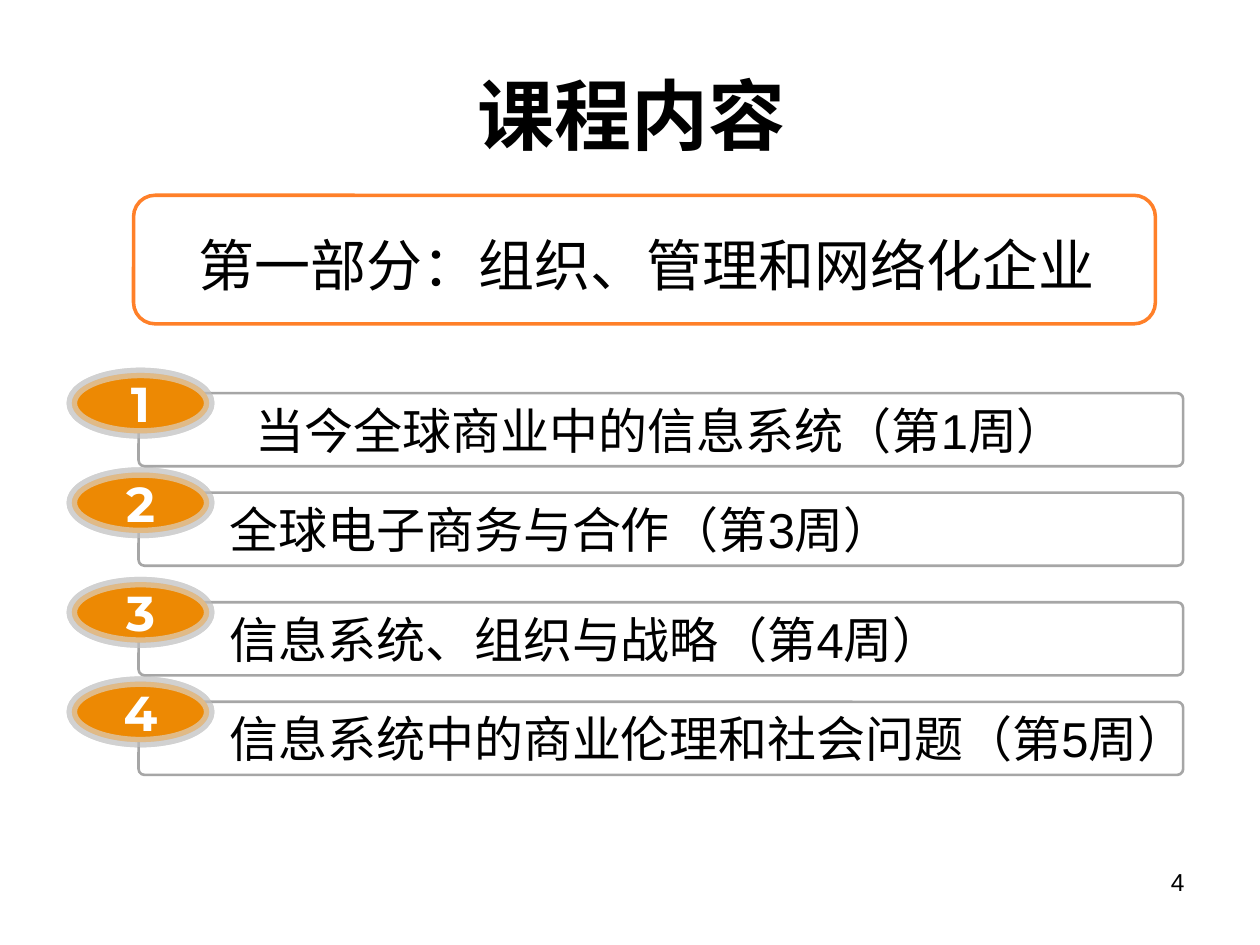
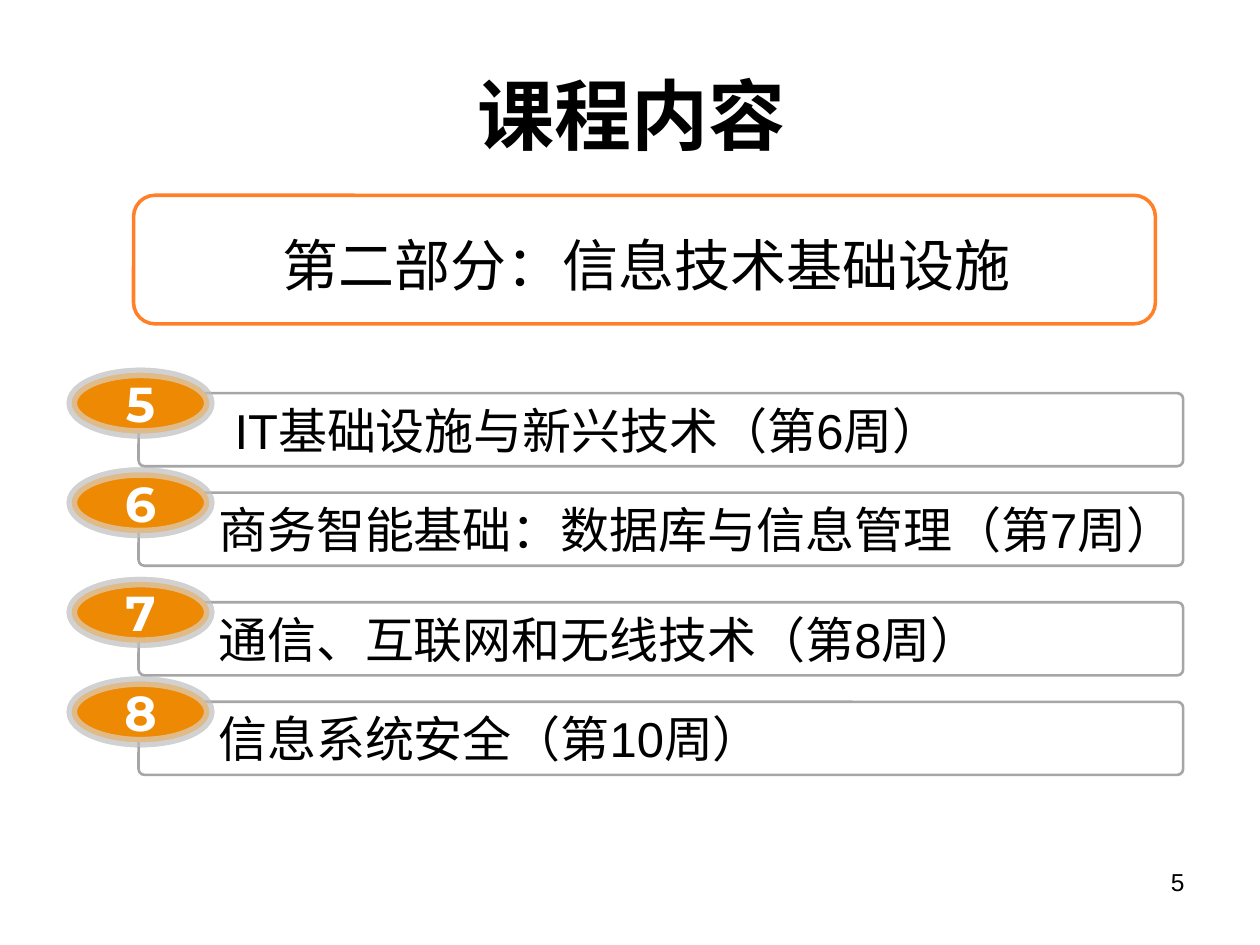
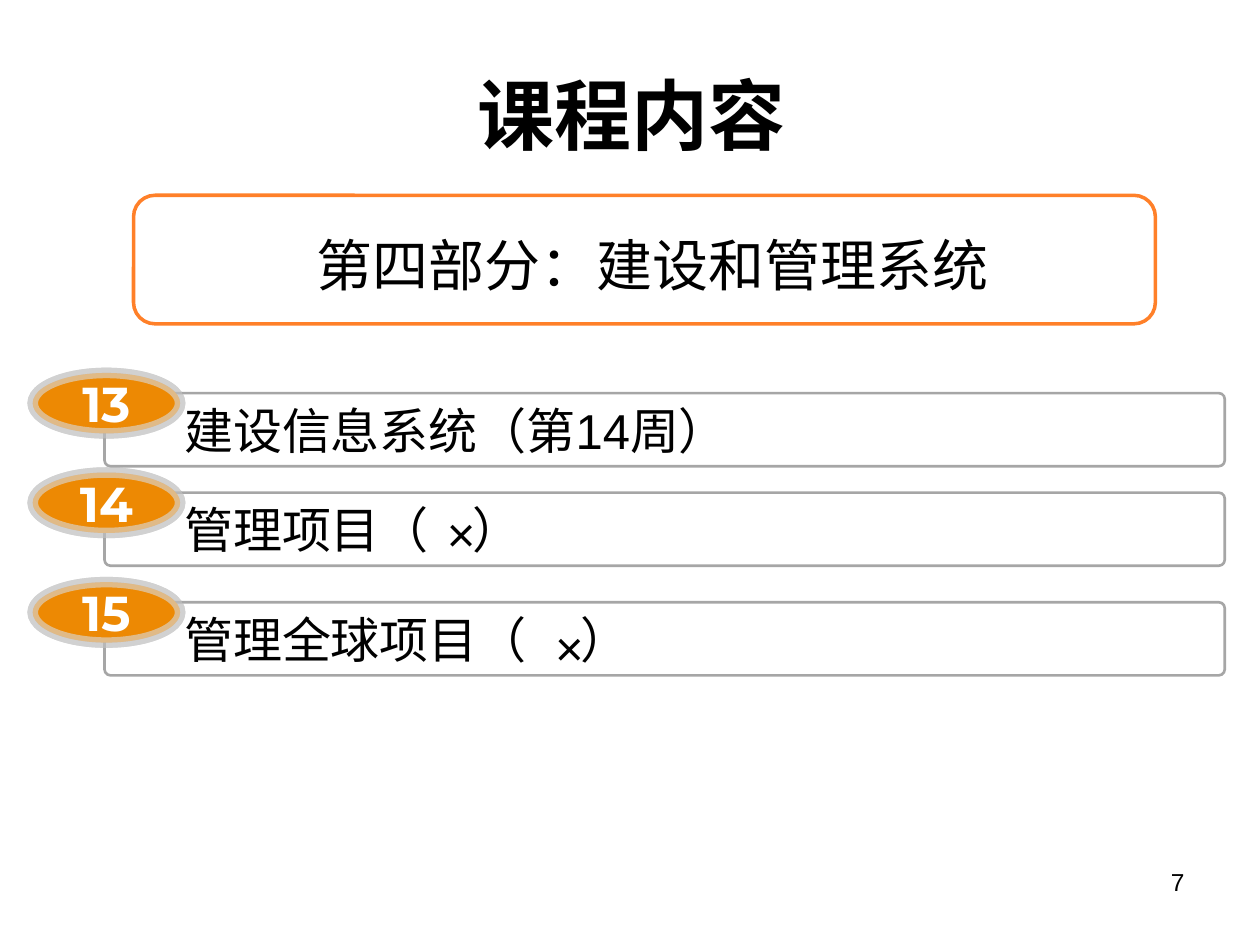
from lxml import etree
from pptx import Presentation
from pptx.dml.color import RGBColor
from pptx.enum.shapes import MSO_SHAPE
from pptx.enum.text import MSO_ANCHOR, PP_ALIGN
from pptx.oxml.ns import qn
from pptx.util import Inches, Pt

ROUND, OVAL = MSO_SHAPE.ROUNDED_RECTANGLE, MSO_SHAPE.OVAL
TOP, MID = MSO_ANCHOR.TOP, MSO_ANCHOR.MIDDLE
LEFT, MIDDLE, RIGHT = PP_ALIGN.LEFT, PP_ALIGN.CENTER, PP_ALIGN.RIGHT

COLORS = {"ink": "000000", "paper": "FFFFFF", "frame": "FF8029",
          "badge": "ED8903", "ring": "D9D9D9", "bar": "A6A6A6"}
BODY, DIGIT = "Arial", "Montserrat"
TITLE = "课程内容"

# Left edge and width of the parts that vary between slides
WIDE = {"head": (1.22, 7.92), "bar": (0.83, 8.89), "badge": (0.26, 1.17)}
NORMAL = {"head": (1.3, 7.67), "bar": (1.1, 8.29), "badge": (0.57, 1.09)}

# Each row: runs of (text, gap after it in points), indent (None centres it)
SLIDES = [
    {"page": 4, "first": 1, "grid": NORMAL, "marks": [],
     "head": "第一部分：组织、管理和网络化企业",
     "rows": [([("当今全球商业中的信息系统（第1周）", 0)], None),
              ([("全球电子商务与合作（第3周）", 0)], 0.61),
              ([("信息系统、组织与战略（第4周）", 0)], 0.61),
              ([("信息系统中的商业伦理和社会问题（第5周）", 0)], 0.61)]},
    {"page": 5, "first": 5, "grid": NORMAL, "marks": [],
     "head": "第二部分：信息技术基础设施",
     "rows": [([("IT基础设施与新兴技术（第6周）", 0)], 0.65),
              ([("商务智能基础：数据库与信息管理（第7周）", 0)], 0.52),
              ([("通信、互联网和无线技术（第8周）", 0)], 0.52),
              ([("信息系统安全（第10周）", 0)], 0.52)]},
    {"page": 7, "first": 13, "grid": WIDE,
     "marks": [(4.29, 4.85), (3.43, 3.95)],
     "head": "第四部分：建设和管理系统",
     "rows": [([("建设信息系统（第14周）", 0)], 0.52),
              ([("管理项目", 0), ("（", 25), ("）", 0)], 0.52),
              ([("管理全球项目", 0), ("（", 31), ("）", 0)], 0.52)]},
]

ROW_TOP, STEP, PAIR_GAP = 3.12, 0.79, 0.08
BAR_H, BADGE_H, LIFT = 0.58, 0.48, 0.16
MARK_W, MARK_H = 0.46, 0.44


def rgb(name):
    return RGBColor.from_string(COLORS[name])


def write(shape, runs, size, align=MIDDLE, anchor=TOP, color="ink",
          font=BODY, bold=False, wrap=True, indent=0):
    frame = shape.text_frame
    frame.word_wrap, frame.vertical_anchor = wrap, anchor
    para = frame.paragraphs[0]
    para.alignment = align
    if indent:
        props = para._p.get_or_add_pPr()
        props.set("marL", str(Inches(indent)))
        props.set("indent", "0")
    for text, gap in runs:
        run = para.add_run()
        run.text = text
        run.font.name, run.font.size, run.font.bold = font, Pt(size), bold
        run.font.color.rgb = rgb(color)
        if gap:
            run._r.get_or_add_rPr().set("spc", str(gap * 100))


def label(slide, box, text, size, **style):
    shape = slide.shapes.add_textbox(*map(Inches, box))
    write(shape, [(text, 0)], size, **style)


def outline(slide, kind, box, line, width, fill=None):
    shape = slide.shapes.add_shape(kind, *map(Inches, box))
    shape.shadow.inherit = False
    if fill:
        shape.fill.solid()
        shape.fill.fore_color.rgb = rgb(fill)
    else:
        shape.fill.background()
    shape.line.color.rgb = rgb(line)
    shape.line.width = Pt(width)
    return shape


def tint(parent, name, share):
    """Add a colour with the given opacity in percent."""
    color = etree.SubElement(parent, qn("a:srgbClr"), val=COLORS[name])
    etree.SubElement(color, qn("a:alpha"), val=str(share * 1000))


def glow(shape):
    """Make the ring see-through and put a soft shadow under the badge."""
    props = shape._element.spPr
    fill = props.find(qn("a:ln")).find(qn("a:solidFill"))
    fill.clear()
    tint(fill, "ring", 61)
    shade = etree.SubElement(props.find(qn("a:effectLst")), qn("a:outerShdw"),
                             blurRad="0", dist="0", dir="0")
    tint(shade, "ink", 37)


def chapter(slide, grid, index, number, runs, indent):
    top = ROW_TOP + index * STEP + index // 2 * PAIR_GAP
    left, width = grid["bar"]
    bar = outline(slide, ROUND, (left, top, width, BAR_H), "bar", 1.5)
    bar.adjustments[0] = 0.08
    align = MIDDLE if indent is None else LEFT
    write(bar, runs, 28, align, MID, wrap=False, indent=indent)
    left, width = grid["badge"]
    badge = outline(slide, OVAL, (left, top - LIFT, width, BADGE_H),
                    "ring", 6, "badge")
    glow(badge)
    write(badge, [(str(number), 0)], 28, anchor=MID, color="paper",
          font=DIGIT, bold=True)


def build(deck, data):
    slide = deck.slides.add_slide(deck.slide_layouts[6])
    grid = data["grid"]
    label(slide, (0.51, 0.28, 9, 1.25), TITLE, 44, anchor=MID, bold=True)
    for index, (runs, indent) in enumerate(data["rows"]):
        chapter(slide, grid, index, data["first"] + index, runs, indent)
    left, width = grid["head"]
    label(slide, (left, 1.78, width, 0.64), data["head"], 32)
    outline(slide, ROUND, (1.06, 1.55, 8.11, 1.02), "frame", 2)
    for left, top in data["marks"]:
        label(slide, (left, top, MARK_W, MARK_H), "×", 28, wrap=False)
    label(slide, (7.17, 6.83, 2.33, 0.52), str(data["page"]), 14, align=RIGHT)


def main():
    deck = Presentation()
    deck.slide_width, deck.slide_height = Inches(10), Inches(7.5)
    for data in SLIDES:
        build(deck, data)
    deck.save("out.pptx")


if __name__ == "__main__":
    main()
